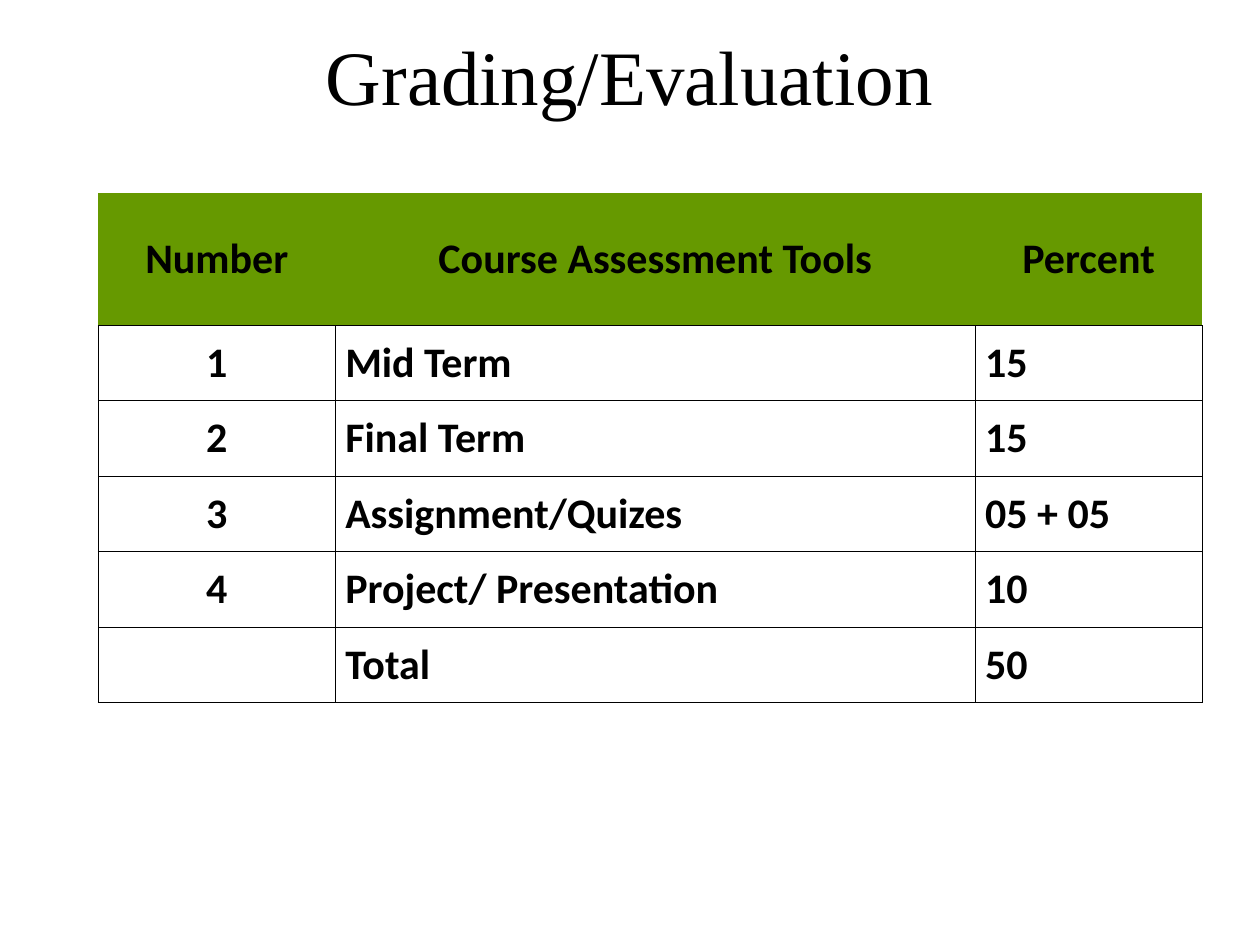
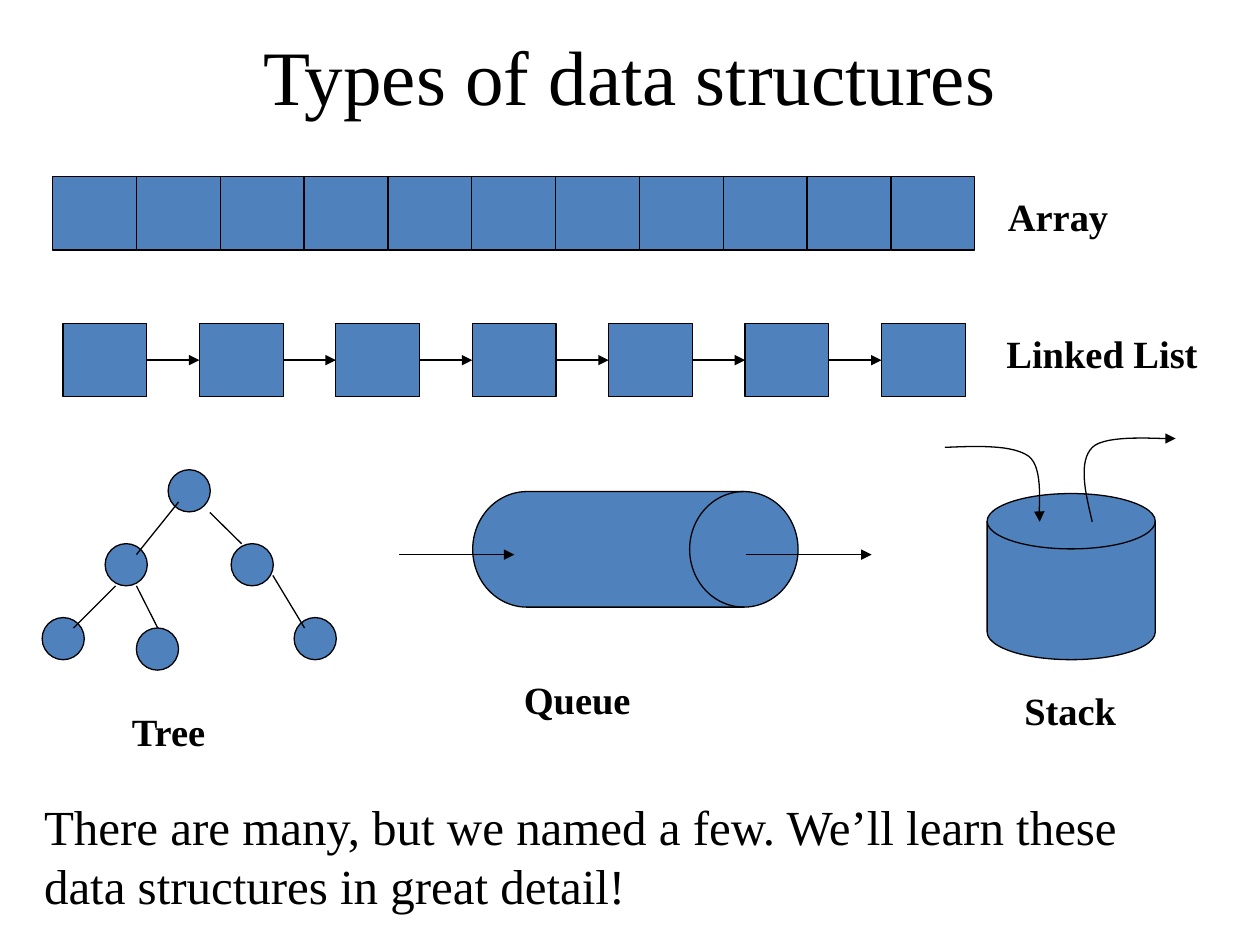
from dataclasses import dataclass
from itertools import pairwise

from lxml.etree import SubElement
from pptx import Presentation
from pptx.dml.color import RGBColor
from pptx.enum.shapes import MSO_CONNECTOR as Connector
from pptx.enum.shapes import MSO_SHAPE as Preset
from pptx.enum.text import MSO_ANCHOR as Anchor
from pptx.enum.text import MSO_AUTO_SIZE as AutoSize
from pptx.enum.text import PP_ALIGN as Align
from pptx.oxml.ns import qn
from pptx.util import Cm, Pt

BLACK = RGBColor(0x00, 0x00, 0x00)
BLUE = RGBColor(0x4F, 0x81, 0xBD)
GREEN = RGBColor(0x66, 0x99, 0x00)
SERIF = "Times New Roman"
SANS = "Calibri"
LINE_WIDTH = Pt(0.75)
BORDER_WIDTH = Pt(0.45)
TITLE_ONLY = 5

GRADING = [
    ("Number", "Course Assessment Tools", "Percent"),
    ("1", "Mid Term", "15"),
    ("2", "Final Term", "15"),
    ("3", "Assignment/Quizes", "05 + 05"),
    ("4", "Project/ Presentation", "10"),
    ("", "Total", "50"),
]
COLUMN_WIDTHS = (4.78, 12.9, 4.57)
HEADER_HEIGHT, ROW_HEIGHT = 2.67, 1.52

CELL_WIDTH, CELL_HEIGHT = 1.69, 1.48
ARRAY_CELLS = 11
LIST_NODES, LIST_PITCH = 7, 2.75
TREE_NODE_SIZE = 0.85


@dataclass(frozen=True)
class Label:
    text: str
    left: float
    top: float
    width: float


@dataclass(frozen=True)
class Segment:
    x1: float
    y1: float
    x2: float
    y2: float


LABELS = [
    Label("Array", 20.07, 3.76, 2.82),
    Label("Linked List", 20.04, 6.53, 4.9),
    Label("Tree", 2.41, 14.15, 2.29),
    Label("Queue", 10.31, 13.51, 3.02),
    Label("Stack", 20.4, 13.72, 2.64),
]
TREE_NODES = [(3.39, 9.47), (2.12, 10.96), (0.85, 12.45),
              (4.66, 10.96), (5.93, 12.45), (2.75, 12.66)]
TREE_EDGES = [
    Segment(3.6, 10.12, 2.75, 11.18),
    Segment(2.33, 11.81, 1.48, 12.66),
    Segment(4.23, 10.33, 4.87, 10.96),
    Segment(5.5, 11.6, 6.14, 12.66),
    Segment(2.75, 11.81, 3.18, 12.66),
]
QUEUE_ARROWS = [Segment(8.04, 11.18, 10.37, 11.18),
                Segment(15.03, 11.18, 17.57, 11.18)]
PUSH_CURVE = [(19.05, 9.02), (19.74, 8.99), (20.42, 8.97), (20.74, 9.2),
              (21.06, 9.45), (20.92, 10.29), (20.96, 10.52)]
POP_CURVE = [(22.02, 10.52), (21.87, 9.91), (21.74, 9.3), (22.02, 9.02),
             (22.3, 8.74), (23.42, 8.86), (23.7, 8.84)]


def write_text(frame, text: str, *, size: float, font: str = SERIF,
               bold: bool = False, align: Align = Align.LEFT) -> None:
    para = frame.paragraphs[0]
    para.alignment = align
    span = para.add_run()
    span.text = text
    span.font.size = Pt(size)
    span.font.name = font
    span.font.bold = bold
    span.font.color.rgb = BLACK


def add_titled_page(deck, title: str):
    page = deck.slides.add_slide(deck.slide_layouts[TITLE_ONLY])
    box = page.shapes.title
    box.left, box.top = Cm(1.9), Cm(0.41)
    box.width, box.height = Cm(21.59), Cm(2.18)
    box.text_frame.auto_size = AutoSize.NONE
    box.text_frame.vertical_anchor = Anchor.MIDDLE
    write_text(box.text_frame, title, size=44, align=Align.CENTER)
    return page


def add_text_box(page, label: Label, height: float, *, size: float,
                 bold: bool = False, wrap: bool = False) -> None:
    box = page.shapes.add_textbox(
        Cm(label.left), Cm(label.top), Cm(label.width), Cm(height))
    box.text_frame.word_wrap = wrap
    box.text_frame.auto_size = AutoSize.SHAPE_TO_FIT_TEXT
    write_text(box.text_frame, label.text, size=size, bold=bold)


def set_borders(cell, *, visible: str) -> None:
    """Draw the sides named in visible (from LRTB) and clear the others."""
    properties = cell._tc.get_or_add_tcPr()
    for side in "LRTB":
        border = SubElement(properties, qn(f"a:ln{side}"), w=str(BORDER_WIDTH))
        if side in visible:
            fill = SubElement(border, qn("a:solidFill"))
            SubElement(fill, qn("a:srgbClr"), val=str(BLACK))
        else:
            SubElement(border, qn("a:noFill"))


def add_grading_table(page) -> None:
    heights = [HEADER_HEIGHT] + [ROW_HEIGHT] * (len(GRADING) - 1)
    table = page.shapes.add_table(
        len(GRADING), len(COLUMN_WIDTHS), Cm(1.98), Cm(3.89),
        Cm(sum(COLUMN_WIDTHS)), Cm(sum(heights))).table
    for column, width in zip(table.columns, COLUMN_WIDTHS):
        column.width = Cm(width)
    for row_index, (texts, height) in enumerate(zip(GRADING, heights)):
        table.rows[row_index].height = Cm(height)
        is_header = row_index == 0
        for column_index, text in enumerate(texts):
            cell = table.cell(row_index, column_index)
            set_borders(cell, visible="B" if is_header else "LRTB")
            if is_header:
                cell.fill.solid()
                cell.fill.fore_color.rgb = GREEN
            else:
                cell.fill.background()
            cell.vertical_anchor = Anchor.MIDDLE
            cell.margin_left = cell.margin_right = Cm(0.2)
            centred = is_header or column_index == 0
            write_text(cell.text_frame, text, size=24, font=SANS, bold=True,
                       align=Align.CENTER if centred else Align.LEFT)


def style_line(item, *, arrow: bool) -> None:
    item.line.color.rgb = BLACK
    item.line.width = LINE_WIDTH
    if arrow:
        outline = item._element.spPr.find(qn("a:ln"))
        SubElement(outline, qn("a:tailEnd"), type="triangle")


def add_solid(group, preset: Preset, left: float, top: float,
              width: float, height: float):
    solid = group.shapes.add_shape(
        preset, Cm(left), Cm(top), Cm(width), Cm(height))
    solid.shadow.inherit = False
    solid.fill.solid()
    solid.fill.fore_color.rgb = BLUE
    style_line(solid, arrow=False)
    return solid


def add_segment(group, segment: Segment, *, arrow: bool = False):
    line = group.shapes.add_connector(
        Connector.STRAIGHT, Cm(segment.x1), Cm(segment.y1),
        Cm(segment.x2), Cm(segment.y2))
    style_line(line, arrow=arrow)
    SubElement(line._element.spPr, qn("a:effectLst"))
    return line


def sample_bezier(points: list[tuple[float, float]], steps: int = 16):
    """Return points along a chain of cubic curves that share end points."""
    samples = [points[0]]
    for start in range(0, len(points) - 1, 3):
        controls = points[start:start + 4]
        for step in range(1, steps + 1):
            t = step / steps
            weights = ((1 - t) ** 3, 3 * t * (1 - t) ** 2,
                       3 * t ** 2 * (1 - t), t ** 3)
            samples.append(tuple(
                sum(weight * point[axis]
                    for weight, point in zip(weights, controls))
                for axis in (0, 1)))
    return samples


def add_curved_arrow(group, points: list[tuple[float, float]]) -> None:
    start, *rest = [(Cm(x), Cm(y)) for x, y in sample_bezier(points)]
    builder = group.shapes.build_freeform(*start)
    builder.add_line_segments(rest, close=False)
    curve = builder.convert_to_shape()
    curve.shadow.inherit = False
    curve.fill.background()
    style_line(curve, arrow=True)


def draw_array(page) -> None:
    group = page.shapes.add_group_shape()
    for index in range(ARRAY_CELLS):
        add_solid(group, Preset.RECTANGLE, 1.06 + index * CELL_WIDTH, 3.56,
                  CELL_WIDTH, CELL_HEIGHT)


def draw_linked_list(page) -> None:
    group = page.shapes.add_group_shape()
    left, top = 1.27, 6.52
    nodes = [add_solid(group, Preset.RECTANGLE, left + index * LIST_PITCH, top,
                       CELL_WIDTH, CELL_HEIGHT) for index in range(LIST_NODES)]
    middle = top + CELL_HEIGHT / 2
    for index, (node, following) in enumerate(pairwise(nodes)):
        node_left = left + index * LIST_PITCH
        link = add_segment(
            group, Segment(node_left + CELL_WIDTH, middle,
                           node_left + LIST_PITCH, middle), arrow=True)
        link.begin_connect(node, 3)
        link.end_connect(following, 1)


def draw_tree(page) -> None:
    group = page.shapes.add_group_shape()
    for left, top in TREE_NODES:
        add_solid(group, Preset.OVAL, left, top, TREE_NODE_SIZE, TREE_NODE_SIZE)
    for edge in TREE_EDGES:
        add_segment(group, edge)


def draw_queue(page) -> None:
    group = page.shapes.add_group_shape()
    add_solid(group, Preset.FLOWCHART_DIRECT_ACCESS_STORAGE,
              9.53, 9.91, 6.56, 2.33)
    for arrow in QUEUE_ARROWS:
        add_segment(group, arrow, arrow=True)


def draw_stack(page) -> None:
    group = page.shapes.add_group_shape()
    add_solid(group, Preset.FLOWCHART_MAGNETIC_DISK, 19.9, 9.95, 3.39, 3.35)
    for curve in (PUSH_CURVE, POP_CURVE):
        add_curved_arrow(group, curve)


def build_grading_page(deck) -> None:
    add_grading_table(add_titled_page(deck, "Grading/Evaluation"))


def build_structures_page(deck) -> None:
    page = add_titled_page(deck, "Types of data structures")
    closing = Label("There are many, but we named a few. We’ll learn these "
                    "data structures in great detail!", 0.64, 15.93, 23.88)
    add_text_box(page, closing, 2.64, size=28, wrap=True)
    for draw in (draw_array, draw_linked_list, draw_tree, draw_queue, draw_stack):
        draw(page)
    for label in LABELS:
        add_text_box(page, label, 1.19, size=22, bold=True)


def main() -> None:
    deck = Presentation()
    deck.slide_width, deck.slide_height = Cm(25.4), Cm(19.05)
    build_grading_page(deck)
    build_structures_page(deck)
    deck.save("out.pptx")


if __name__ == "__main__":
    main()
